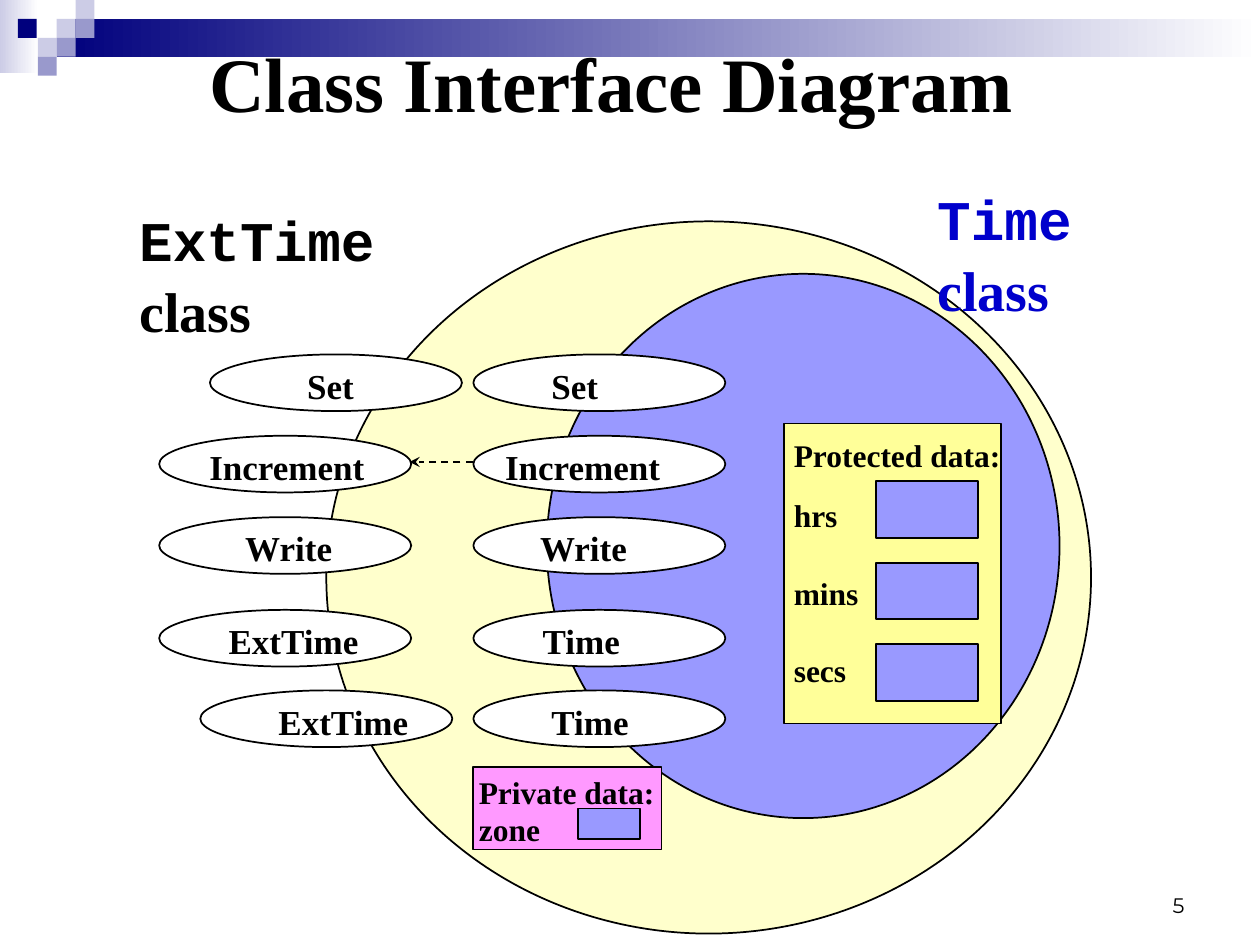
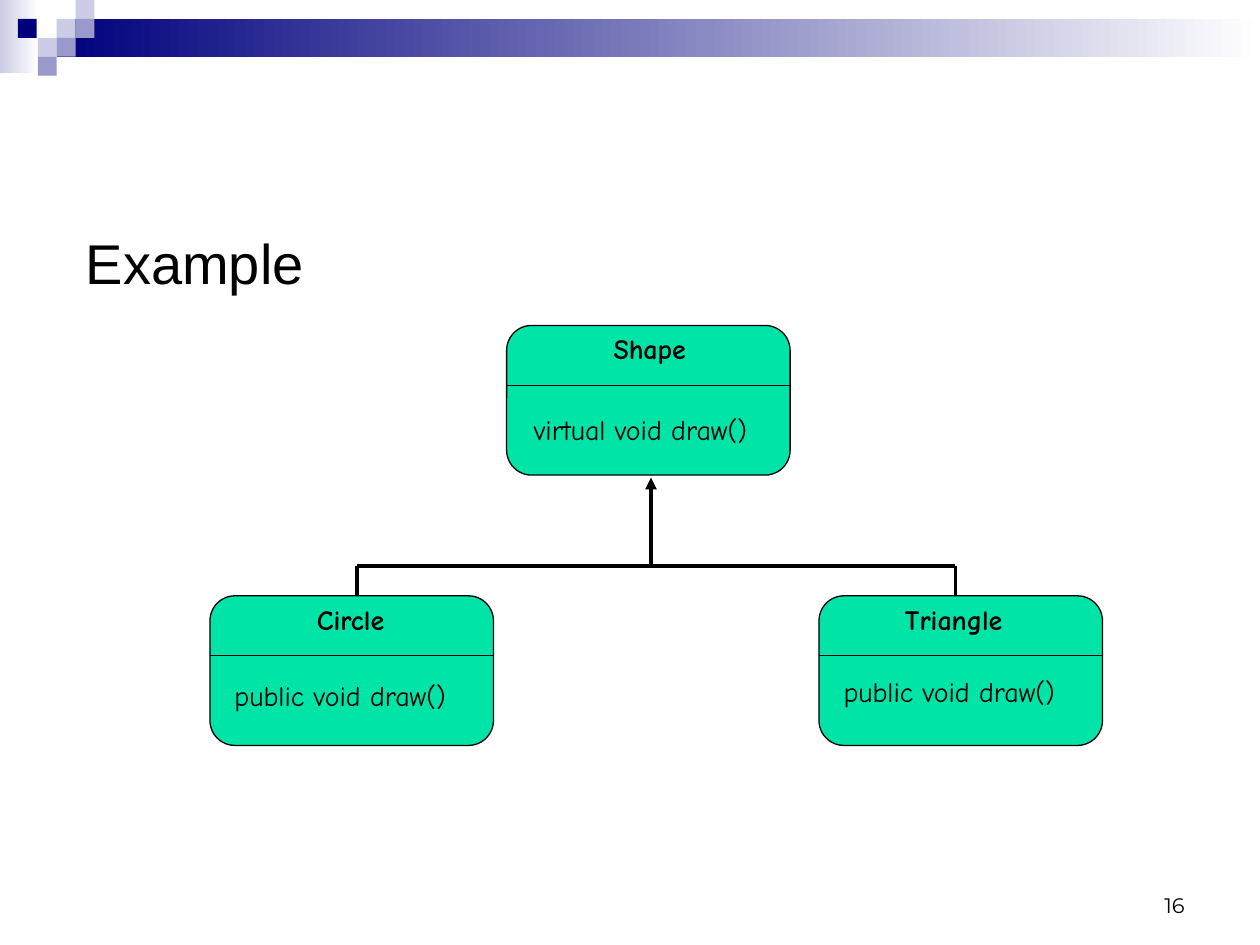
from dataclasses import dataclass

import pptx
import pptx.dml.color
import pptx.enum.dml
import pptx.enum.shapes
import pptx.enum.text
import pptx.oxml.ns
import pptx.presentation
import pptx.shapes.autoshape
import pptx.slide
import pptx.util
from lxml import etree

Pt = pptx.util.Pt
RGBColor = pptx.dml.color.RGBColor
Shape = pptx.enum.shapes.MSO_SHAPE
Align = pptx.enum.text.PP_ALIGN
Anchor = pptx.enum.text.MSO_ANCHOR
Dash = pptx.enum.dml.MSO_LINE

BLACK = RGBColor(0x00, 0x00, 0x00)
WHITE = RGBColor(0xFF, 0xFF, 0xFF)
NAVY = RGBColor(0x00, 0x00, 0x7D)
BLUE = RGBColor(0x00, 0x00, 0xCC)
LAVENDER = RGBColor(0xCC, 0xCC, 0xE6)
SLATE = RGBColor(0x99, 0x99, 0xCC)
PERIWINKLE = RGBColor(0x99, 0x99, 0xFF)
CREAM = RGBColor(0xFF, 0xFF, 0xCC)
YELLOW = RGBColor(0xFF, 0xFF, 0x99)
PINK = RGBColor(0xFF, 0x99, 0xFF)
GREEN = RGBColor(0x00, 0xE4, 0xA8)

SERIF = "Times New Roman"
HEADING = {"name": SERIF, "size": Pt(44), "bold": True}
CLASS_CODE = {"name": "Courier New", "size": Pt(32), "bold": True}
CLASS_WORD = {"name": SERIF, "size": Pt(32), "bold": True}
OPERATION = {"name": SERIF, "size": Pt(20), "bold": True}
DATA = {"name": SERIF, "size": Pt(18), "bold": True}
EXAMPLE = {"name": "Arial", "size": Pt(32)}
METHOD = {"name": "Comic Neue", "size": Pt(16)}
CLASS_NAME = {**METHOD, "bold": True}
NUMBER = {"name": "Montserrat", "size": Pt(12)}


@dataclass(frozen=True)
class Area:
    left: float
    top: float
    width: float
    height: float

    def lengths(self) -> list[pptx.util.Length]:
        return [Pt(value) for value in (self.left, self.top, self.width, self.height)]


@dataclass(frozen=True)
class Line:
    text: str
    style: dict
    color: RGBColor = BLACK
    before: float = 0


@dataclass(frozen=True)
class Operation:
    text: str
    left: float
    top: float
    label_left: float
    label_width: float


@dataclass(frozen=True)
class ClassCard:
    name: str
    method: str
    left: float
    top: float
    name_indent: float
    method_indent: float
    method_drop: float


@dataclass(frozen=True)
class Stroke:
    start: tuple[float, float]
    end: tuple[float, float]
    width: float
    arrow: str = ""
    dashed: bool = False


TILE = 10.8
TILES = (
    (32.4, 10.8, LAVENDER), (43.2, 0, LAVENDER), (43.2, 10.8, SLATE),
    (21.6, 21.6, LAVENDER), (10.2, 10.8, NAVY), (32.4, 21.6, SLATE),
    (21.6, 32.4, SLATE),
)

OPERATIONS = (
    Operation("Set", 270.5, 202.5, 308, 41),
    Operation("Increment", 270.5, 249, 281.5, 103.5),
    Operation("Write", 270.5, 295.5, 301.5, 65),
    Operation("Time", 270.5, 348.5, 303, 59),
    Operation("Time", 270.5, 394.5, 308, 59),
    Operation("Set", 120, 202.5, 168.5, 41),
    Operation("Increment", 91, 249, 112.5, 103.5),
    Operation("Write", 91, 295.5, 133, 65),
    Operation("ExtTime", 91, 348.5, 123.5, 89.5),
    Operation("ExtTime", 114.5, 394.5, 152, 89.5),
)

CARDS = (
    ClassCard("Shape", "virtual void draw()", 289.5, 186, 54, 15.5, 46),
    ClassCard("Circle", "public void draw()", 120, 340.5, 54, 14, 43.5),
    ClassCard("Triangle", "public void draw()", 468, 340.5, 42, 14, 41.5),
)

BRANCHES = (
    Stroke((204, 323.5), (546, 323.5), 2.25),
    Stroke((204, 323.5), (204, 340.5), 2.25),
    Stroke((546, 323.5), (546, 340.5), 2.25),
    Stroke((372, 323.5), (372, 273), 2.25, "triangle"),
)


def add_figure(page: pptx.slide.Slide, kind: Shape, area: Area, fill: RGBColor,
               outline: float = 0) -> pptx.shapes.autoshape.Shape:
    figure = page.shapes.add_shape(kind, *area.lengths())
    figure.shadow.inherit = False
    figure.fill.solid()
    figure.fill.fore_color.rgb = fill
    if outline:
        figure.line.color.rgb = BLACK
        figure.line.width = Pt(outline)
    else:
        figure.line.fill.background()
    return figure


def add_fade(page: pptx.slide.Slide, area: Area, color: RGBColor) -> None:
    fill = add_figure(page, Shape.RECTANGLE, area, color).fill
    fill.gradient()
    fill.gradient_angle = 0
    for stop, shade in zip(fill.gradient_stops, (color, WHITE)):
        stop.color.rgb = shade


def add_text(page: pptx.slide.Slide, area: Area, *lines: Line, wrap: bool = False,
             side: float = 7.2, anchor: Anchor = Anchor.TOP,
             align: Align = Align.LEFT) -> None:
    frame = page.shapes.add_textbox(*area.lengths()).text_frame
    layout = {"word_wrap": wrap, "vertical_anchor": anchor,
              "margin_left": Pt(side), "margin_right": Pt(side),
              "margin_top": Pt(3.6), "margin_bottom": Pt(3.6)}
    for key, value in layout.items():
        setattr(frame, key, value)
    for index, line in enumerate(lines):
        para = frame.add_paragraph() if index else frame.paragraphs[0]
        para.alignment = align
        if line.before:
            para.space_before = Pt(line.before)
        span = para.add_run()
        span.text = line.text
        for key, value in line.style.items():
            setattr(span.font, key, value)
        span.font.color.rgb = line.color


def add_stroke(page: pptx.slide.Slide, stroke: Stroke) -> None:
    ends = [Pt(value) for value in stroke.start + stroke.end]
    connector = page.shapes.add_connector(
        pptx.enum.shapes.MSO_CONNECTOR.STRAIGHT, *ends)
    connector.line.color.rgb = BLACK
    connector.line.width = Pt(stroke.width)
    if stroke.dashed:
        connector.line.dash_style = Dash.DASH
    if stroke.arrow:
        etree.SubElement(connector.line._get_or_add_ln(),
                         pptx.oxml.ns.qn("a:tailEnd"), type=stroke.arrow)
    etree.SubElement(connector._element.spPr, pptx.oxml.ns.qn("a:effectLst"))


def add_page(deck: pptx.presentation.Presentation, number: int) -> pptx.slide.Slide:
    page = deck.slides.add_slide(deck.slide_layouts[6])
    add_fade(page, Area(0, 0, 22, 42), LAVENDER)
    add_fade(page, Area(32.4, 10.8, 687.6, 21.6), NAVY)
    for left, top, color in TILES:
        add_figure(page, Shape.RECTANGLE, Area(left, top, TILE, TILE), color)
    add_text(page, Area(516, 492, 168, 36), Line(str(number), NUMBER), wrap=True,
             anchor=Anchor.BOTTOM, align=Align.RIGHT)
    return page


def add_operation(page: pptx.slide.Slide, operation: Operation) -> None:
    add_figure(page, Shape.OVAL, Area(operation.left, operation.top, 144, 32.4), WHITE, 1)
    add_text(page, Area(operation.label_left, operation.top + 2, operation.label_width, 31),
             Line(operation.text, OPERATION))


def add_class_heading(page: pptx.slide.Slide, area: Area, name: str,
                      color: RGBColor) -> None:
    add_text(page, area, Line(name, CLASS_CODE, color),
             Line("class", CLASS_WORD, color, 2), wrap=True)


def add_card(page: pptx.slide.Slide, card: ClassCard) -> None:
    width, divider = 162, card.top + 34.2
    add_figure(page, Shape.FLOWCHART_ALTERNATE_PROCESS,
               Area(card.left, card.top, width, 85.5), GREEN, 0.75)
    add_stroke(page, Stroke((card.left, divider), (card.left + width, divider), 0.75))
    add_text(page, Area(card.left + card.name_indent, card.top, 96, 26.5),
             Line(card.name, CLASS_NAME), wrap=True)
    add_text(page, Area(card.left + card.method_indent, card.top + card.method_drop,
                        142.5, 26.5),
             Line(card.method, METHOD), wrap=True, side=0)


def build_interface_page(deck: pptx.presentation.Presentation) -> None:
    page = add_page(deck, 5)
    add_figure(page, Shape.OVAL, Area(186.5, 126.5, 437, 407), CREAM, 1)
    add_figure(page, Shape.OVAL, Area(312.5, 156.5, 293, 311), PERIWINKLE, 1)
    add_text(page, Area(112.5, 16.5, 474.5, 60), Line("Class Interface Diagram", HEADING))

    add_figure(page, Shape.RECTANGLE, Area(448, 242, 124, 171.5), YELLOW, 1)
    add_text(page, Area(446.5, 245.5, 133, 149), Line("Protected data:", DATA),
             Line("hrs", DATA, before=13), Line("mins", DATA, before=22.5),
             Line("secs", DATA, before=22.5))
    for row in range(3):
        add_figure(page, Shape.RECTANGLE, Area(500.5, 275 + 46.5 * row, 58.5, 32.4),
                   PERIWINKLE, 1)

    for operation in OPERATIONS:
        add_operation(page, operation)
    add_stroke(page, Stroke((270, 264), (234, 264), 1, "stealth", True))

    add_figure(page, Shape.RECTANGLE, Area(270.5, 438.5, 107.5, 47), PINK, 1)
    add_text(page, Area(266.5, 438, 115, 50), Line("Private data:", DATA),
             Line("zone", DATA), wrap=True)
    add_figure(page, Shape.RECTANGLE, Area(330.5, 462, 35.5, 17.5), PERIWINKLE, 1)

    add_class_heading(page, Area(72.5, 114, 229.5, 45.5), "ExtTime", BLACK)
    add_class_heading(page, Area(528.5, 102, 172, 45.5), "Time", BLUE)


def build_example_page(deck: pptx.presentation.Presentation) -> None:
    page = add_page(deck, 16)
    add_text(page, Area(42, 120, 648, 60), Line("Example", EXAMPLE), wrap=True,
             anchor=Anchor.MIDDLE)
    for card in CARDS:
        add_card(page, card)
    for branch in BRANCHES:
        add_stroke(page, branch)


def main() -> None:
    deck = pptx.Presentation()
    deck.slide_width, deck.slide_height = Pt(720), Pt(540)
    build_interface_page(deck)
    build_example_page(deck)
    deck.save("out.pptx")


if __name__ == "__main__":
    main()
